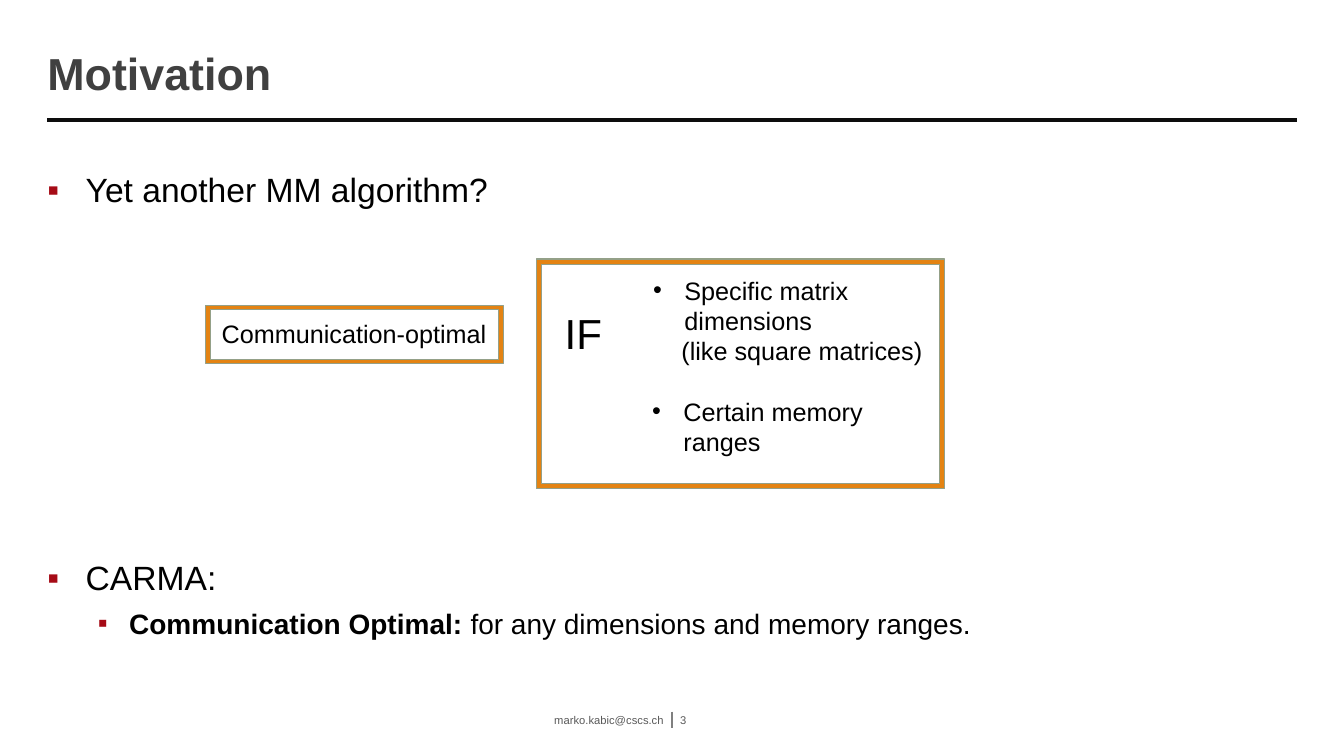
"""Build the Motivation slide on communication-optimal matrix multiplication."""
from lxml.etree import SubElement
from pptx import Presentation
from pptx.dml.color import RGBColor
from pptx.enum.shapes import MSO_CONNECTOR, MSO_SHAPE
from pptx.enum.text import MSO_ANCHOR, MSO_AUTO_SIZE, PP_ALIGN
from pptx.oxml.ns import qn
from pptx.util import Inches, Pt

COLORS = {"title": "404040", "rule": "0D0D0D", "text": "000000", "bullet": "A60B16",
          "frame": "E48312", "edge": "94A088", "footer": "595959", "divider": "808080"}
WIDTH, HEIGHT = 13.33, 7.5
MARGIN, MIDDLE = 0.47, WIDTH / 2
CONTENT = WIDTH - 2 * MARGIN
FOOTER_TOP, FOOTER_HEIGHT = 7.06, 0.16
LINE_SPACING = 1.2
LEFT, CENTER, RIGHT = PP_ALIGN.LEFT, PP_ALIGN.CENTER, PP_ALIGN.RIGHT
PLAIN_INSETS = (0.1, 0.05, 0.1, 0.05)
BODY_INSETS = (0, 0.06, 0, 0.05)


def write(box, area, lines, color="text", insets=PLAIN_INSETS,
          anchor=MSO_ANCHOR.TOP, align=LEFT):
    """Place a box and fill it with (runs, size, margin, hang, bullet, bullet color, gap) lines."""
    box.left, box.top, box.width, box.height = map(Inches, area)
    frame = box.text_frame
    left, top, right, bottom = map(Inches, insets)
    settings = {"word_wrap": True, "auto_size": MSO_AUTO_SIZE.NONE, "vertical_anchor": anchor,
                "margin_left": left, "margin_top": top,
                "margin_right": right, "margin_bottom": bottom}
    for name, value in settings.items():
        setattr(frame, name, value)
    for index, (runs, size, margin, hang, bullet, bullet_color, gap) in enumerate(lines):
        paragraph = frame.add_paragraph() if index else frame.paragraphs[0]
        paragraph.alignment = align
        paragraph.line_spacing = Pt(size * LINE_SPACING)
        paragraph.space_before = Pt(gap)
        properties = paragraph._p.get_or_add_pPr()
        properties.set("marL", str(Inches(margin)))
        properties.set("indent", str(Inches(-hang)))
        if bullet:
            tint = SubElement(properties, qn("a:buClr"))
            SubElement(tint, qn("a:srgbClr"), val=COLORS[bullet_color])
            SubElement(properties, qn("a:buFont"), typeface="Arial")
            SubElement(properties, qn("a:buChar"), char=bullet)
        for words, bold in runs:
            run = paragraph.add_run()
            run.text = words
            for name, value in {"name": "Arial", "size": Pt(size), "bold": bold}.items():
                setattr(run.font, name, value)
            run.font.color.rgb = RGBColor.from_string(COLORS[color])


def plain(words, size, bold=False, margin=0):
    """Return one line without a bullet."""
    return [([(words, bold)], size, margin, 0, None, None, 0)]


deck = Presentation()
deck.slide_width, deck.slide_height = Inches(WIDTH), Inches(HEIGHT)
slide = deck.slides.add_slide(deck.slide_layouts[5])
shapes = slide.shapes

write(shapes.title, (MARGIN, 0.13, CONTENT, 0.94), plain("Motivation", 32, True),
      "title", (0, 0, 0, 0.08), MSO_ANCHOR.BOTTOM)

rules = [
    (MIDDLE, FOOTER_TOP, MIDDLE, FOOTER_TOP + FOOTER_HEIGHT, "divider", 0.75),
    (MARGIN, 1.19, WIDTH - MARGIN, 1.19, "rule", 3),
]
for *ends, color, weight in rules:
    rule = shapes.add_connector(MSO_CONNECTOR.STRAIGHT, *map(Inches, ends))
    rule.line.color.rgb = RGBColor.from_string(COLORS[color])
    rule.line.width = Pt(weight)
    SubElement(rule._element.spPr, qn("a:effectLst"))

question = [([("Yet another MM algorithm?", False)], 24, 0.38, 0.38, "▪", "bullet", 0)]
carma = [
    ([("CARMA:", False)], 24, 0.38, 0.38, "▪", "bullet", 0),
    ([("Communication Optimal: ", True), ("for any dimensions and memory ranges.", False)],
     20, 0.81, 0.31, "▪", "bullet", 6),
]
dimensions = [([("Specific matrix dimensions", False)], 18, 0.31, 0.31, "•", "text", 0)]
dimensions += plain("(like square matrices)", 18, margin=0.28)
memory = [([("Certain memory ranges", False)], 18, 0.31, 0.31, "•", "text", 0)]

texts = [
    ((MARGIN, 1.62, CONTENT, 0.6), question, BODY_INSETS, LEFT),
    ((MARGIN, 5.47, CONTENT, 1.34), carma, BODY_INSETS, LEFT),
    ((6.38, 2.68, 2.99, 1.01), dimensions, PLAIN_INSETS, LEFT),
    ((6.37, 3.88, 2.71, 0.71), memory, PLAIN_INSETS, LEFT),
    ((2.1, 3.11, 2.89, 0.4), plain("Communication-optimal", 18), PLAIN_INSETS, LEFT),
    ((5.49, 3, 0.59, 0.61), plain("IF", 30), PLAIN_INSETS, CENTER),
]
for area, lines, insets, align in texts:
    write(shapes.add_textbox(0, 0, 0, 0), area, lines, insets=insets, align=align)

frames = [((2.04, 3.03, 2.95, 0.58), 0.076), ((5.32, 2.57, 4.05, 2.28), 0.022)]
for area, thickness in frames:
    border = shapes.add_shape(MSO_SHAPE.FRAME, *map(Inches, area))
    border.adjustments[0] = thickness
    border.shadow.inherit = False
    border.fill.solid()
    border.fill.fore_color.rgb = RGBColor.from_string(COLORS["frame"])
    border.line.color.rgb = RGBColor.from_string(COLORS["edge"])
    border.line.width = Pt(0.85)

footers = [
    ("marko.kabic@cscs.ch", MIDDLE - 4.5, 4.5, (0, 0, 0.08, 0), RIGHT),
    ("3", MIDDLE, 0.42, (0.08, 0, 0, 0), LEFT),
]
for words, left, width, insets, align in footers:
    write(shapes.add_textbox(0, 0, 0, 0), (left, FOOTER_TOP, width, FOOTER_HEIGHT),
          plain(words, 8), "footer", insets, MSO_ANCHOR.MIDDLE, align)

deck.save("out.pptx")
